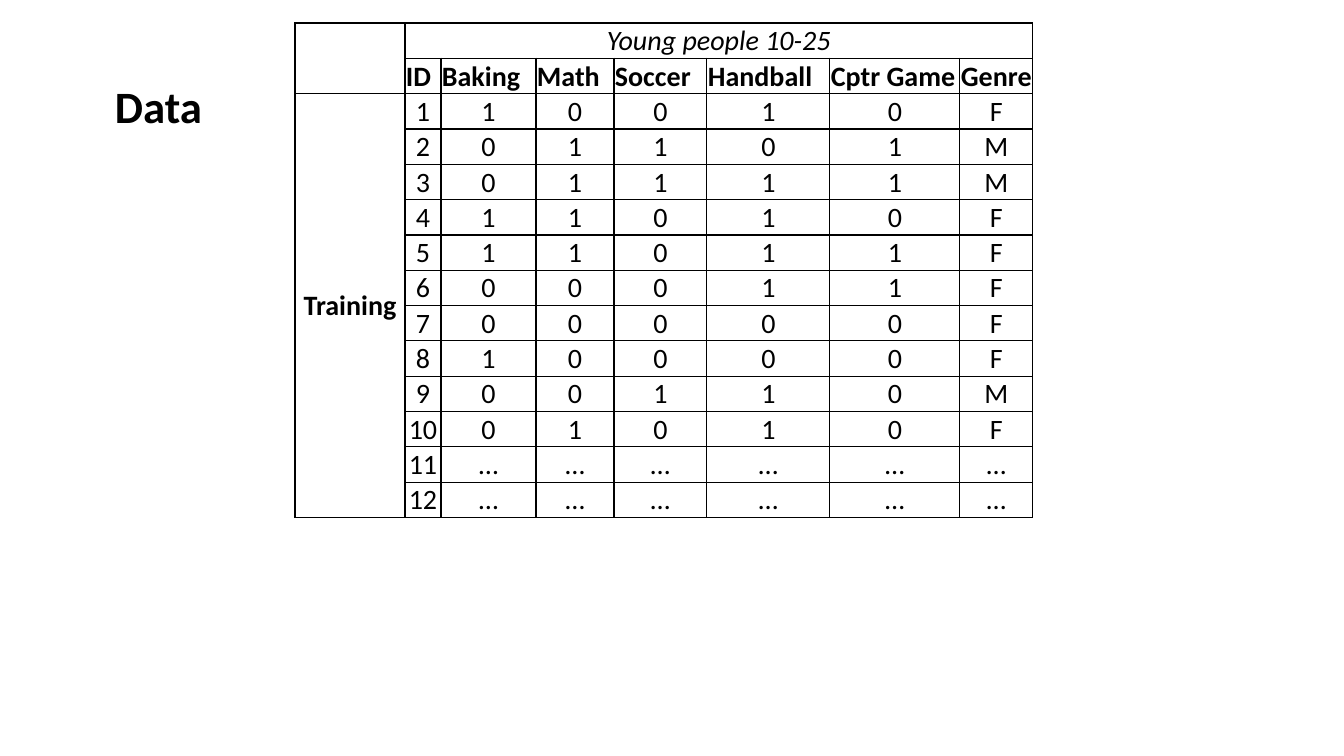
from dataclasses import dataclass

from lxml import etree
from pptx import Presentation
from pptx.dml.color import RGBColor
from pptx.enum.text import MSO_ANCHOR, PP_ALIGN
from pptx.oxml.ns import qn
from pptx.util import Emu, Pt

LEFT, CENTER = PP_ALIGN.LEFT, PP_ALIGN.CENTER
MIDDLE, BOTTOM = MSO_ANCHOR.MIDDLE, MSO_ANCHOR.BOTTOM


@dataclass(frozen=True)
class Theme:
    font: str = "Calibri"
    ink: str = "000000"
    title: int = 32
    body: int = 20
    border: int = 1


THEME = Theme()

COL_WIDTHS = [110, 36, 95, 78, 93, 123, 130, 73]
ROW_HEIGHT = 35
HEADERS = ["ID", "Baking", "Math", "Soccer", "Handball", "Cptr Game", "Genre"]
ANSWERS = ["10010F", "01101M", "01111M", "11010F", "11011F", "00011F",
           "00000F", "10000F", "00110M", "01010F", "……………………"[:6], "……………………"[:6]]


def px(n):
    return Emu(round(n * 914400 / 100.8))


def style(p, size, bold=False, italic=False, align=CENTER):
    p.alignment = align
    f = p.font
    f.name, f.size, f.bold, f.italic = THEME.font, Pt(size), bold, italic
    f.color.rgb = RGBColor.from_string(THEME.ink)


def add_borders(cell):
    tcPr = cell._tc.get_or_add_tcPr()
    for side in ("a:lnL", "a:lnR", "a:lnT", "a:lnB"):
        ln = etree.SubElement(tcPr, qn(side), w=str(Pt(THEME.border)))
        fill = etree.SubElement(ln, qn("a:solidFill"))
        etree.SubElement(fill, qn("a:srgbClr"), val=THEME.ink)


def set_cell(cell, text, anchor=MIDDLE, **font):
    cell.text = text
    cell.vertical_anchor = anchor
    style(cell.text_frame.paragraphs[0], THEME.body, **font)


def title(s, x, y, w, h):
    tf = s.shapes.add_textbox(px(x), px(y), px(w), px(h)).text_frame
    tf.word_wrap = True
    p = tf.paragraphs[0]
    p.text = "Data"
    style(p, THEME.title, bold=True)


def data_table(s, x, y):
    n_rows, n_cols = len(ANSWERS) + 2, len(COL_WIDTHS)
    table = s.shapes.add_table(n_rows, n_cols, px(x), px(y), px(sum(COL_WIDTHS)),
                               px(ROW_HEIGHT * n_rows)).table
    table.first_row = table.horz_banding = False
    for col, w in zip(table.columns, COL_WIDTHS):
        col.width = px(w)
    for row in table.rows:
        row.height = px(ROW_HEIGHT)

    # Plain bordered grid
    for cell in table.iter_cells():
        cell.margin_left = cell.margin_right = cell.margin_top = px(1)
        cell.margin_bottom = 0
        add_borders(cell)
        cell.fill.background()

    # Empty corner, group heading and row label
    table.cell(0, 0).merge(table.cell(1, 0))
    table.cell(0, 1).merge(table.cell(0, n_cols - 1))
    table.cell(2, 0).merge(table.cell(n_rows - 1, 0))
    set_cell(table.cell(0, 1), "Young people 10-25", BOTTOM, italic=True)
    set_cell(table.cell(2, 0), "Training", bold=True)

    # Column headers and numbered answers
    for c, text in enumerate(HEADERS, 1):
        set_cell(table.cell(1, c), text, BOTTOM, bold=True, align=LEFT)
    for number, answers in enumerate(ANSWERS, 1):
        for c, text in enumerate([str(number), *answers], 1):
            set_cell(table.cell(number + 1, c), text)


prs = Presentation()
prs.slide_width, prs.slide_height = px(1344), px(756)
s = prs.slides.add_slide(prs.slide_layouts[6])
data_table(s, 295, 23)
title(s, 33, 74, 251, 65)
prs.save("out.pptx")
